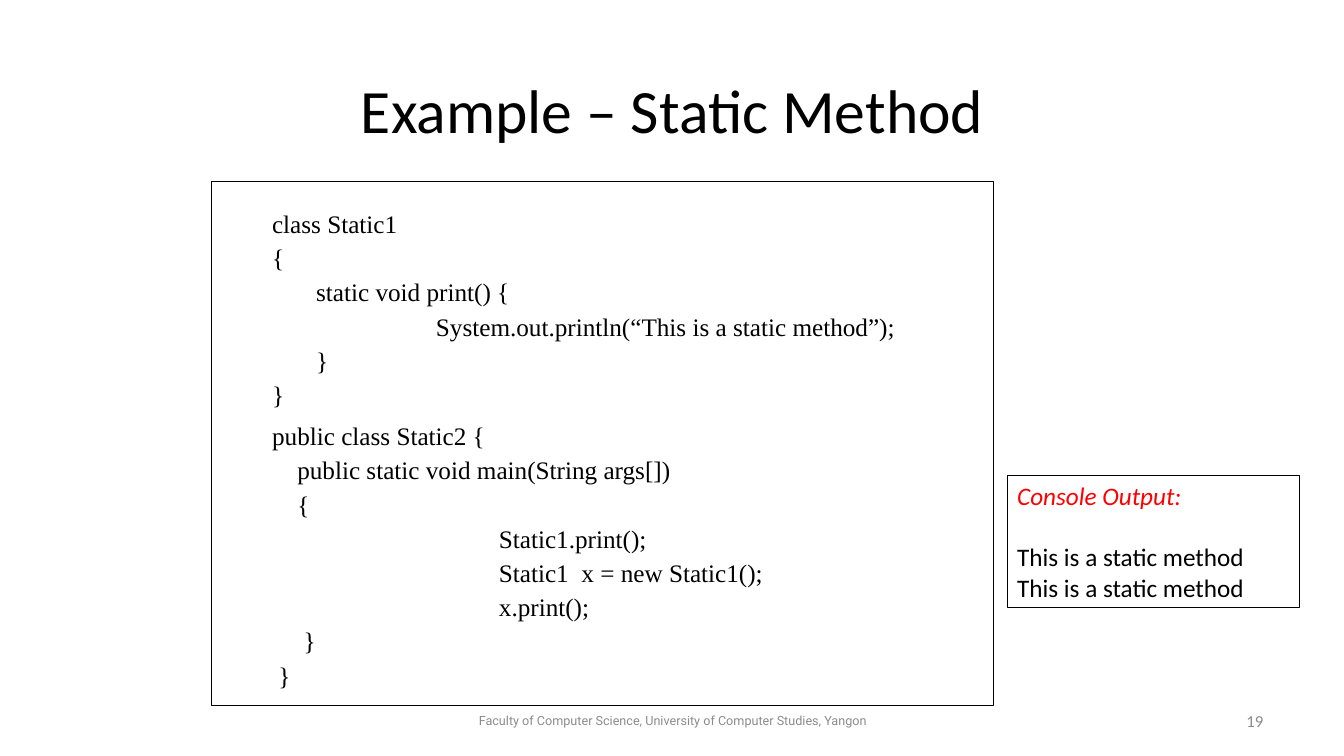
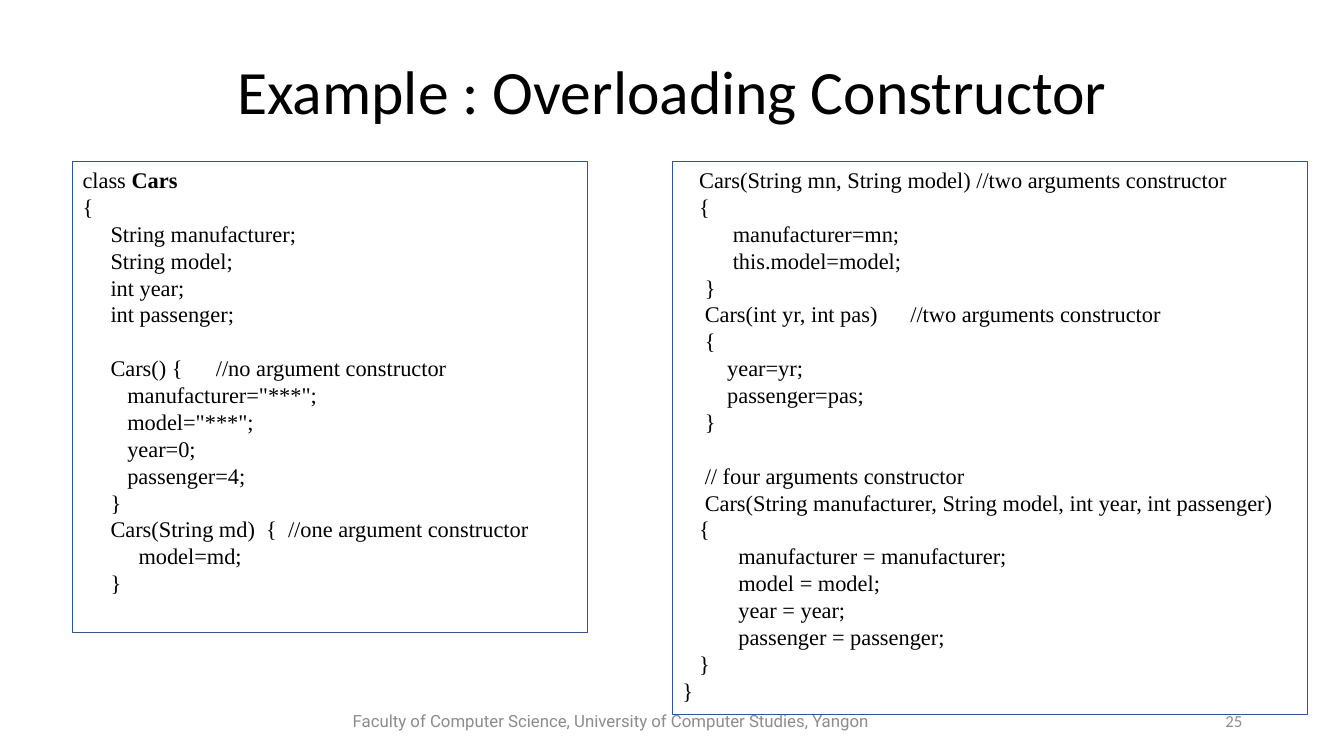
from dataclasses import dataclass, field

from lxml.etree import SubElement
from pptx import Presentation
from pptx.dml.color import RGBColor
from pptx.enum.shapes import MSO_SHAPE
from pptx.enum.text import MSO_ANCHOR, PP_ALIGN
from pptx.oxml.ns import qn
from pptx.util import Inches, Pt

COLORS = {"ink": "000000", "muted": "8C8C8C", "alert": "FF0000", "edge": "325491"}
FOOTER = "Faculty of Computer Science, University of Computer Studies, Yangon"


@dataclass
class Line:
    """One paragraph; indent and comment_column count space characters."""
    indent: int
    spans: list
    before: float = 0
    comment: str = ""
    comment_column: float = 0


def line(indent, text, **options):
    return Line(indent, [(text, {})], **options)


@dataclass
class TextStyle:
    name: str
    size: float
    color: str = "ink"
    align: PP_ALIGN = PP_ALIGN.LEFT
    spacing: float = 1.0
    before: float = 0


TITLE = TextStyle("Calibri", 44, align=PP_ALIGN.CENTER, spacing=0.9)
NUMBER = TextStyle("Calibri", 12, "muted", PP_ALIGN.RIGHT)
CODE_LARGE = TextStyle("Times New Roman", 18, spacing=0.9, before=5)
CODE_SMALL = TextStyle("Times New Roman", 16)
CONSOLE = TextStyle("Calibri", 18)


class SlideBuilder:
    """Holds the deck and the slide being filled."""

    def __init__(self):
        self.deck = Presentation()
        self.deck.slide_width = Inches(13.33)
        self.deck.slide_height = Inches(7.5)
        self.slide = None

    def new_slide(self):
        self.slide = self.deck.slides.add_slide(self.deck.slide_layouts[6])

    def fill_text(self, frame, lines, style):
        frame.word_wrap = True
        space = style.size / 4 / 72  # a space is a quarter em wide
        for index, item in enumerate(lines):
            para = frame.paragraphs[0] if index == 0 else frame.add_paragraph()
            layout = {"alignment": style.align, "line_spacing": style.spacing,
                      "space_before": Pt(item.before or style.before)}
            for name, value in layout.items():
                setattr(para, name, value)
            spans = item.spans
            if item.comment:
                self.set_tabs(para, [item.indent * space, item.comment_column * space])
                spans = [("\t", {}), *spans, ("\t" + item.comment, {})]
            elif item.indent:
                properties = para._p.get_or_add_pPr()
                properties.set("marL", str(Inches(item.indent * space)))
                properties.set("indent", "0")
            for text, changes in spans:
                self.add_span(para, text, style, changes)

    def add_span(self, para, text, style, changes):
        span = para.add_run()
        span.text = text
        look = {"name": style.name, "size": Pt(style.size), "color": style.color,
                **changes}
        span.font.color.rgb = RGBColor.from_string(COLORS[look.pop("color")])
        for name, value in look.items():
            setattr(span.font, name, value)

    def set_tabs(self, para, stops):
        tab_list = SubElement(para._p.get_or_add_pPr(), qn("a:tabLst"))
        for stop in stops:
            SubElement(tab_list, qn("a:tab"), pos=str(Inches(stop)), algn="l")

    def label(self, place, text, style):
        box = self.slide.shapes.add_textbox(*map(Inches, place))
        box.text_frame.vertical_anchor = MSO_ANCHOR.MIDDLE
        self.fill_text(box.text_frame, [line(0, text)], style)

    def title(self, text, height):
        self.label((0.92, 0.4, 11.5, height), text, TITLE)

    def footer(self, left, width, size, number, number_left):
        style = TextStyle("Roboto", size, "muted", PP_ALIGN.CENTER)
        self.label((left, 6.95, width, 0.4), FOOTER, style)
        self.label((number_left, 6.95, 3, 0.4), number, NUMBER)

    def panel(self, place, lines, style, edge="ink", inset=0.05):
        """Outlined rectangle with text from the top; inset is above and below."""
        box = self.slide.shapes.add_shape(MSO_SHAPE.RECTANGLE, *map(Inches, place))
        box.shadow.inherit = False
        box.fill.background()
        box.line.color.rgb = RGBColor.from_string(COLORS[edge])
        box.line.width = Pt(0.75)
        frame = box.text_frame
        settings = {"vertical_anchor": MSO_ANCHOR.TOP, "margin_top": Inches(inset),
                    "margin_bottom": Inches(inset), "margin_left": Inches(0.1),
                    "margin_right": Inches(0.1)}
        for name, value in settings.items():
            setattr(frame, name, value)
        self.fill_text(frame, lines, style)


STATIC_CODE = [
    line(8, "class Static1"),
    line(8, "{"),
    line(15, "static void print() {"),
    line(34, "System.out.println(“This is a static method”);"),
    line(15, "}"),
    line(8, "}"),
    line(8, "public class Static2 {", before=10),
    line(12, "public static void main(String args[])"),
    line(12, "{"),
    line(44, "Static1.print();"),
    line(44, "Static1  x = new Static1();"),
    line(44, "x.print();"),
    line(13, "}"),
    line(9, "}"),
]
CONSOLE_LINES = [
    Line(0, [("Console Output:", {"color": "alert", "italic": True})]),
    line(0, "This is a static method", before=22),
    line(0, "This is a static method"),
]
CARS_FIELDS = [
    Line(0, [("class ", {}), ("Cars", {"bold": True})]),
    line(0, "{"),
    line(5, "String manufacturer;"),
    line(5, "String model;"),
    line(5, "int year;"),
    line(5, "int passenger;"),
    line(5, "Cars() {", before=19.2, comment="//no argument constructor",
         comment_column=23.8),
    line(8, 'manufacturer="***";'),
    line(8, 'model="***";'),
    line(8, "year=0;"),
    line(8, "passenger=4;"),
    line(5, "}"),
    line(5, "Cars(String md)  {  //one argument constructor"),
    line(10, "model=md;"),
    line(5, "}"),
]
CARS_CONSTRUCTORS = [
    line(3, "Cars(String mn, String model) //two arguments constructor"),
    line(3, "{"),
    line(9, "manufacturer=mn;"),
    line(9, "this.model=model;"),
    line(4, "}"),
    line(4, "Cars(int yr, int pas)", comment="//two arguments constructor",
         comment_column=40.7),
    line(4, "{"),
    line(8, "year=yr;"),
    line(8, "passenger=pas;"),
    line(4, "}"),
    line(4, "// four arguments constructor", before=19.2),
    line(4, "Cars(String manufacturer, String model, int year, int passenger)"),
    line(3, "{"),
    line(10, "manufacturer = manufacturer;"),
    line(10, "model = model;"),
    line(10, "year = year;"),
    line(10, "passenger = passenger;"),
    line(3, "}"),
    line(0, "}"),
]


def static_method_slide(builder):
    builder.new_slide()
    builder.title("Example – Static Method", 1.45)
    builder.panel((2.1, 1.8, 7.75, 5.2), STATIC_CODE, CODE_LARGE, inset=0.3)
    builder.footer(4.42, 4.5, 9, "19", 9.63)
    builder.panel((9.99, 4.72, 2.9, 1.31), CONSOLE_LINES, CONSOLE)


def overloading_slide(builder):
    builder.new_slide()
    builder.title("Example : Overloading Constructor", 1.08)
    builder.footer(3.21, 5.7, 12, "25", 9.42)
    builder.panel((0.72, 1.6, 5.11, 4.68), CARS_FIELDS, CODE_SMALL, "edge")
    builder.panel((6.67, 1.6, 6.3, 5.49), CARS_CONSTRUCTORS, CODE_SMALL, "edge")


def main():
    builder = SlideBuilder()
    static_method_slide(builder)
    overloading_slide(builder)
    builder.deck.save("out.pptx")


if __name__ == "__main__":
    main()
